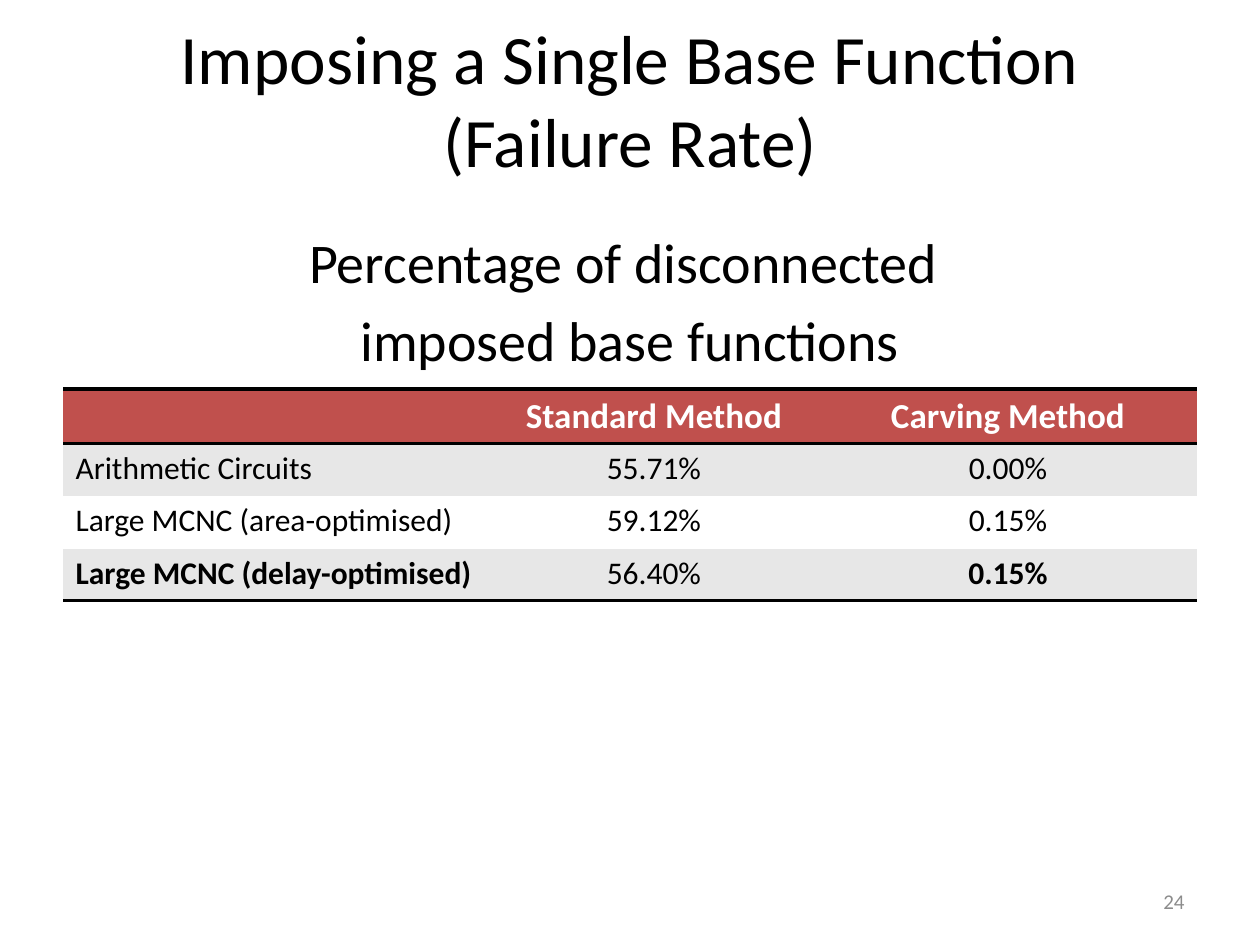
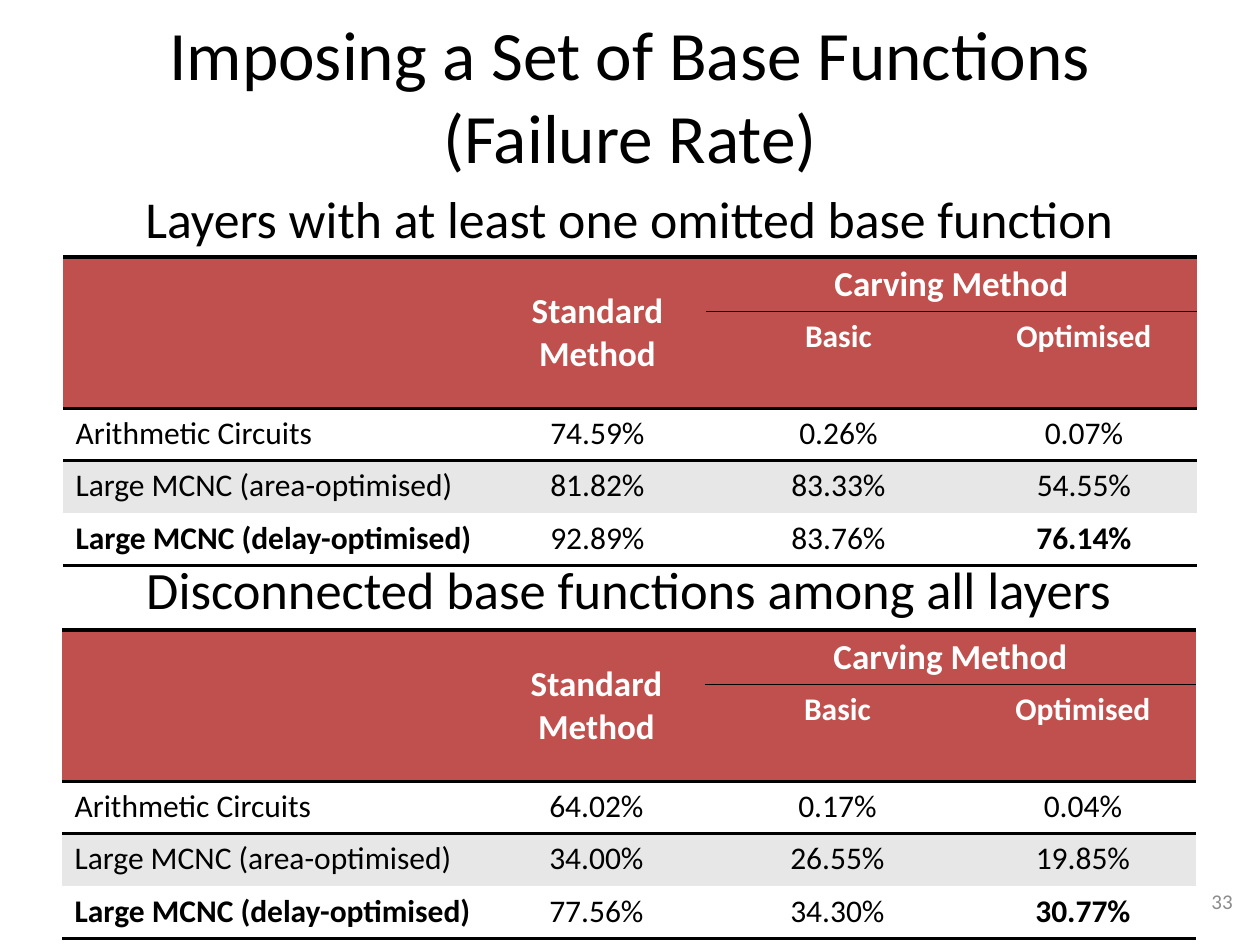
import pptx
import pptx.dml.color
import pptx.enum.text
import pptx.oxml
import pptx.oxml.ns
import pptx.util

SCALE = 914400 / 126
FONT = "Calibri"
BLACK, WHITE, RED, BAND, GREY = "000000", "FFFFFF", "C0504D", "E7E7E7", "8C8C8C"
PLAIN = "{2D5ABB26-0587-4C30-8999-92F81FD0307C}"
ALIGN = pptx.enum.text.PP_ALIGN
MIDDLE = pptx.enum.text.MSO_ANCHOR.MIDDLE
NAMES = ["Arithmetic Circuits", "Large MCNC (area-optimised)", "Large MCNC (delay-optimised)"]


def px(n):
    """Turn pixels into EMU."""
    return pptx.util.Emu(round(n * SCALE))


def color(code):
    """Turn a hex string into a colour."""
    return pptx.dml.color.RGBColor.from_string(code)


def apply(target, values):
    """Set each value in a dict as an attribute of the target."""
    for name, value in values.items():
        setattr(target, name, value)


def write(frame, lines, size, code=BLACK, bold=False, align=ALIGN.CENTER, gap=0):
    """Fill a text frame with evenly formatted paragraphs."""
    for i, line in enumerate(lines):
        para = frame.add_paragraph() if i else frame.paragraphs[0]
        para.text = line
        apply(para, {"alignment": align, "space_before": pptx.util.Pt(gap if i else 0)})
        for run in para.runs:
            apply(run.font, {"name": FONT, "size": pptx.util.Pt(size), "bold": bold})
            run.font.color.rgb = color(code)


def add_box(slide, area, lines, size, **style):
    """Add a wrapped text box."""
    frame = slide.shapes.add_textbox(*map(px, area)).text_frame
    frame.word_wrap = True
    write(frame, lines, size, **style)
    return frame


def add_page(deck, title, top, number, right):
    """Add a slide with its title and page number."""
    slide = deck.slides.add_slide(deck.slide_layouts[5])
    head = slide.shapes.title
    apply(head, dict(zip(("left", "top", "width", "height"), map(px, (63, top, 1134, 158)))))
    apply(head.text_frame, {"word_wrap": True, "vertical_anchor": MIDDLE,
                            "auto_size": pptx.enum.text.MSO_AUTO_SIZE.NONE})
    write(head.text_frame, [title], 39.6)
    foot = add_box(slide, (right - 294, 876, 294, 50), [number], 12, code=GREY, align=ALIGN.RIGHT)
    foot.vertical_anchor = MIDDLE
    return slide


def add_edge(cell, side, width):
    """Draw a black line along one side of a cell."""
    space = pptx.oxml.ns.nsdecls("a")
    line = pptx.oxml.parse_xml(
        f'<a:ln{side} {space} w="{pptx.util.Pt(width)}"><a:solidFill>'
        f'<a:srgbClr val="{BLACK}"/></a:solidFill></a:ln{side}>')
    cell._tc.get_or_add_tcPr().append(line)


def set_fill(cell, code):
    """Fill a cell with one colour."""
    cell.fill.solid()
    cell.fill.fore_color.rgb = color(code)


def add_grid(slide, left, top, cols, rows):
    """Add a table without a style of its own."""
    shape = slide.shapes.add_table(len(rows), len(cols), *map(px, (left, top, sum(cols), sum(rows))))
    grid = shape.table
    apply(grid, {"first_row": False, "horz_banding": False})
    grid._tbl.tblPr.find(pptx.oxml.ns.qn("a:tableStyleId")).text = PLAIN
    for col, width in zip(grid.columns, cols):
        col.width = px(width)
    for row, height in zip(grid.rows, rows):
        row.height = px(height)
    return grid


def rule_row(grid, row, side, width):
    """Draw a line along one side of a whole row."""
    for col in range(len(grid.columns)):
        add_edge(grid.cell(row, col), side, width)


def fill_body(grid, start, data, bands):
    """Write the named result rows below the header."""
    for i, (name, rates) in enumerate(zip(NAMES, data)):
        last = i == len(NAMES) - 1
        for col, text in enumerate([name, *rates]):
            cell = grid.cell(start + i, col)
            set_fill(cell, bands[i % 2])
            write(cell.text_frame, [text], 18, bold=last and col in (0, len(rates)),
                  align=ALIGN.CENTER if col else ALIGN.LEFT)


def fill_head(grid, row, labels, size):
    """Write one header row, skipping empty labels."""
    for col, text in enumerate(labels):
        cell = grid.cell(row, col)
        set_fill(cell, RED)
        if text:
            write(cell.text_frame, [text], size, code=WHITE, bold=True)


def add_single(slide, data):
    """Add the table with one header row."""
    grid = add_grid(slide, 63, 389, (426, 330, 378), (52, 52, 53, 52))
    rule_row(grid, 0, "T", 2)
    for row in (0, 3):
        rule_row(grid, row, "B", 2)
    fill_head(grid, 0, ["", "Standard Method", "Carving Method"], 20)
    fill_body(grid, 1, data, (BAND, WHITE))


def add_split(slide, left, top, data):
    """Add the table whose header spans two rows."""
    grid = add_grid(slide, left, top, (426, 217, 265, 226), (52, 52, 52, 53, 52))
    rule_row(grid, 0, "T", 2.25)
    for col, width in enumerate((2.25, 2.25, 1, 1)):
        add_edge(grid.cell(0, col), "B", width)
    for row, width in ((1, 2.25), (2, 2), (4, 2)):
        rule_row(grid, row, "B", width)
    fill_head(grid, 0, ["", "Standard Method", "Carving Method", ""], 20)
    fill_head(grid, 1, ["", "", "Basic", "Optimised"], 18)
    for first, end in (((0, 0), (1, 0)), ((0, 1), (1, 1)), ((0, 2), (0, 3))):
        cell = grid.cell(*first)
        cell.merge(grid.cell(*end))
        cell.vertical_anchor = MIDDLE
    fill_body(grid, 2, data, (WHITE, BAND))


def main():
    """Build both slides and save the deck."""
    deck = pptx.Presentation()
    apply(deck, {"slide_width": px(1260), "slide_height": px(945)})

    slide = add_page(deck, "Imposing a Single Base Function\v(Failure Rate)", 19, "24", 1197)
    add_box(slide, (63, 221, 1134, 152),
            ["Percentage of disconnected ", "imposed base functions"], 32, gap=6.4)
    add_single(slide, [("55.71%", "0.00%"), ("59.12%", "0.15%"), ("56.40%", "0.15%")])

    slide = add_page(deck, "Imposing a Set of Base Functions\v(Failure Rate)", 15, "33", 1245)
    add_box(slide, (63, 180, 1134, 71), ["Layers with at least one omitted base function"], 29.6)
    add_split(slide, 63, 257, [("74.59%", "0.26%", "0.07%"),
                               ("81.82%", "83.33%", "54.55%"),
                               ("92.89%", "83.76%", "76.14%")])
    add_box(slide, (62, 551, 1134, 73), ["Disconnected base functions among all layers"], 30)
    add_split(slide, 62, 630, [("64.02%", "0.17%", "0.04%"),
                               ("34.00%", "26.55%", "19.85%"),
                               ("77.56%", "34.30%", "30.77%")])
    deck.save("out.pptx")


if __name__ == "__main__":
    main()
